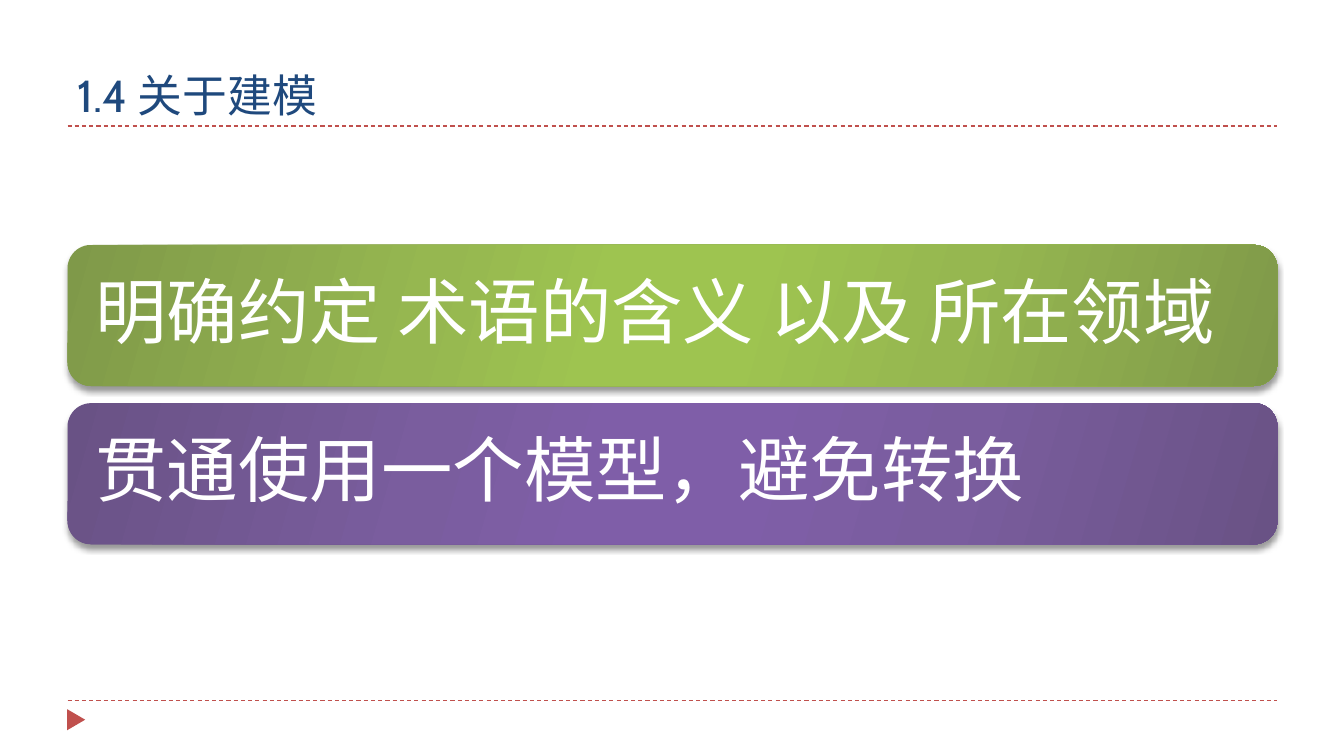
from lxml.etree import SubElement
from pptx import Presentation
from pptx.dml.color import RGBColor
from pptx.enum.dml import MSO_LINE
from pptx.enum.shapes import MSO_CONNECTOR, MSO_SHAPE
from pptx.enum.text import MSO_ANCHOR, PP_ALIGN
from pptx.oxml.ns import qn
from pptx.util import Inches, Pt

RED = RGBColor(0xC0, 0x50, 0x4D)
NAVY = RGBColor(0x1F, 0x49, 0x7D)
WHITE = RGBColor(0xFF, 0xFF, 0xFF)
BLACK = RGBColor(0, 0, 0)
# Edge, middle and centre shades of each bar
GREEN = (RGBColor(0x7F, 0x99, 0x49), RGBColor(0x96, 0xB7, 0x50), RGBColor(0x9E, 0xC4, 0x50))
PURPLE = (RGBColor(0x69, 0x52, 0x85), RGBColor(0x7A, 0x5D, 0x9E), RGBColor(0x7F, 0x5E, 0xA8))
STOPS = ((0, 0), (30, 1), (45, 2), (55, 2), (73, 1), (100, 0))

LEFT, WIDE = 0.67, 12


def add(parent, tag, **attrs):
    return SubElement(parent, qn(tag), {k: str(v) for k, v in attrs.items()})


def write(frame, text, size, color, font="Cabin", anchor=MSO_ANCHOR.MIDDLE,
          inset=None, space=None):
    frame.word_wrap = True
    frame.vertical_anchor = anchor
    if inset is not None:
        frame.margin_left = frame.margin_right = Inches(inset)
        frame.margin_top = frame.margin_bottom = Inches(inset)
    line = frame.paragraphs[0]
    line.alignment = PP_ALIGN.LEFT
    line.line_spacing = space
    run = line.add_run()
    run.text = text
    run.font.name = font
    run.font.size = Pt(size)
    run.font.color.rgb = color


class Page:
    def __init__(self, slide):
        self.shapes = slide.shapes

    def rule(self, top):
        line = self.shapes.add_connector(
            MSO_CONNECTOR.STRAIGHT, Inches(LEFT), Inches(top),
            Inches(LEFT + WIDE), Inches(top))
        line.line.color.rgb = RED
        line.line.width = Pt(0.75)
        line.line.dash_style = MSO_LINE.DASH
        add(line._element.spPr, "a:effectLst")

    def mark(self, left, top, width, height):
        mark = self.shapes.add_shape(
            MSO_SHAPE.ISOSCELES_TRIANGLE, Inches(left), Inches(top),
            Inches(width), Inches(height))
        mark.rotation = 90
        mark.shadow.inherit = False
        mark.fill.solid()
        mark.fill.fore_color.rgb = RED
        mark.line.fill.background()

    def title(self, text, top, height):
        box = self.shapes.add_textbox(
            Inches(LEFT), Inches(top), Inches(WIDE), Inches(height))
        write(box.text_frame, text, 32, NAVY, anchor=MSO_ANCHOR.BOTTOM)

    def bar(self, text, top, height, shades):
        bar = self.shapes.add_shape(
            MSO_SHAPE.ROUNDED_RECTANGLE, Inches(LEFT), Inches(top),
            Inches(WIDE), Inches(height))
        bar.shadow.inherit = False
        bar.line.fill.background()
        self.blend(bar, shades)
        self.shade(bar)
        write(bar.text_frame, text, 51, WHITE, inset=0.21, space=0.9)

    def blend(self, bar, shades):
        bar.fill.gradient()
        grad = bar._element.spPr.find(qn("a:gradFill"))
        for part in list(grad):
            grad.remove(part)
        stops = add(grad, "a:gsLst")
        for place, shade in STOPS:
            stop = add(stops, "a:gs", pos=place * 1000)
            add(stop, "a:srgbClr", val=shades[shade])
        add(grad, "a:lin", ang=16 * 60000, scaled=0)

    def shade(self, bar):
        effects = bar._element.spPr.find(qn("a:effectLst"))
        shadow = add(effects, "a:outerShdw", blurRad=Pt(4), dist=Pt(3.4),
                     dir=90 * 60000, rotWithShape=0)
        color = add(shadow, "a:srgbClr", val=BLACK)
        add(color, "a:alpha", val=40000)


def main():
    deck = Presentation()
    deck.slide_width, deck.slide_height = Inches(13.33), Inches(7.5)
    page = Page(deck.slides.add_slide(deck.slide_layouts[6]))

    # Frame of the page
    for top in (6.95, 1.25):
        page.rule(top)
    page.mark(0.65, 7.05, 0.21, 0.18)

    # Heading
    page.title("1.4 关于建模", 0.17, 1.08)

    # Two key points
    points = (("明确约定 术语的含义 以及 所在领域", GREEN),
              ("贯通使用一个模型，避免转换", PURPLE))
    for i, (text, shades) in enumerate(points):
        page.bar(text, 2.43 + i * 1.57, 1.4, shades)

    deck.save("out.pptx")


if __name__ == "__main__":
    main()
